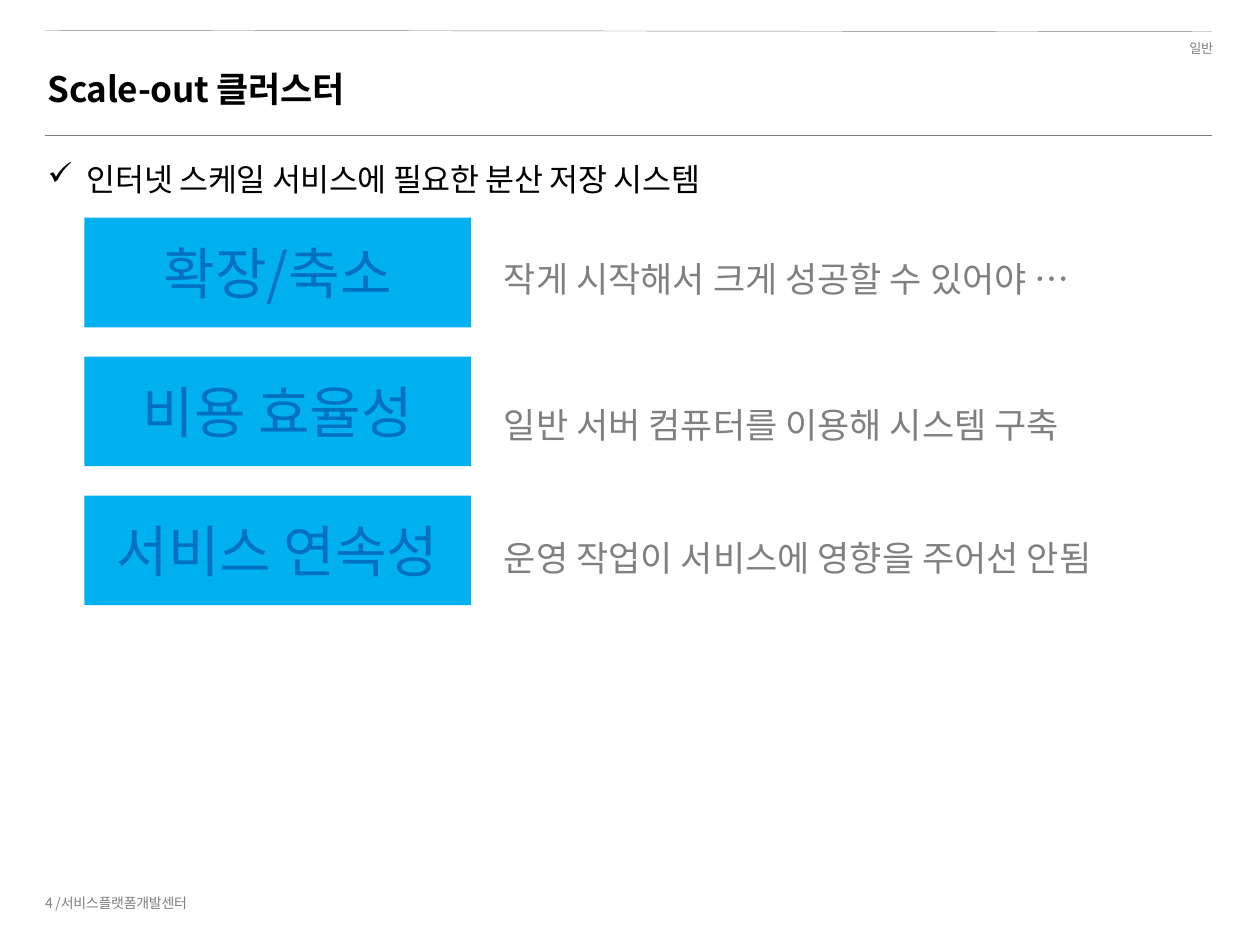
from lxml.etree import SubElement
from pptx import Presentation
from pptx.dml.color import RGBColor
from pptx.enum.shapes import MSO_CONNECTOR as Connector, MSO_SHAPE as Shape
from pptx.enum.text import MSO_ANCHOR as Anchor, MSO_AUTO_SIZE as AutoSize, PP_ALIGN as Align
from pptx.oxml.ns import qn
from pptx.util import Cm, Pt

FONT = "Noto Sans CJK KR"
COLORS = {"black": "000000", "gray": "808080", "sky": "00B0F0", "blue": "0070C0"}

TITLE = "Scale-out 클러스터"
LEAD = "인터넷 스케일 서비스에 필요한 분산 저장 시스템"
CATEGORY = "일반"
FOOTER = "4 /서비스플랫폼개발센터"
# goal, caption, top of the caption in cm
GOALS = [
    ("확장/축소", "작게 시작해서 크게 성공할 수 있어야 …", 4.65),
    ("비용 효율성", "일반 서버 컴퓨터를 이용해 시스템 구축", 7.59),
    ("서비스 연속성", "운영 작업이 서비스에 영향을 주어선 안됨", 10.26),
]
RULES = [(0.61, 0.64), (2.72, 2.72)]  # start and end height in cm
RULE_LEFT, RULE_RIGHT = 0.91, 24.43
GOAL_LEFT, GOAL_TOP, GOAL_WIDTH, GOAL_HEIGHT, GOAL_STEP = 1.7, 4.39, 7.8, 2.21, 2.8


def color(name):
    """Return the named colour."""
    return RGBColor.from_string(COLORS[name])


def write(shape, text, size, tint="gray", bold=False, align=Align.LEFT,
          anchor=Anchor.TOP, leading=None, tight=False, grow=False, bullet=None):
    """Put formatted text in a shape and return its paragraph."""
    frame = shape.text_frame
    frame.word_wrap = True
    frame.vertical_anchor = anchor
    frame.auto_size = AutoSize.SHAPE_TO_FIT_TEXT if grow else AutoSize.NONE
    para = frame.paragraphs[0]
    para.alignment = align
    if leading:
        para.line_spacing = leading
    span = para.add_run()
    span.text = text
    font = span.font
    font.size, font.bold, font.name = Pt(size), bold, FONT
    font.color.rgb = color(tint)
    props = span._r.get_or_add_rPr()
    SubElement(props, qn("a:ea")).set("typeface", FONT)
    if tight:
        props.set("spc", "-20")
    if bullet:
        para.space_before = Pt(0.1)
        layout = para._p.get_or_add_pPr()
        layout.set("marL", str(Cm(0.79)))
        layout.set("indent", str(Cm(-0.79)))
        SubElement(layout, qn("a:buChar")).set("char", bullet)
    return para


def add_text(page, place, text, size, **style):
    """Add a text box at a place given in cm."""
    box = page.shapes.add_textbox(*map(Cm, place))
    write(box, text, size, **style)


def add_rule(page, start, end):
    """Add a thin line across the page."""
    rule = page.shapes.add_connector(
        Connector.STRAIGHT, Cm(RULE_LEFT), Cm(start), Cm(RULE_RIGHT), Cm(end))
    rule.line.color.rgb = color("gray")
    rule.line.width = Pt(0.25)
    SubElement(rule._element.spPr, qn("a:effectLst"))


def add_goal(page, top, text):
    """Add one filled goal box."""
    box = page.shapes.add_shape(
        Shape.RECTANGLE, Cm(GOAL_LEFT), Cm(top), Cm(GOAL_WIDTH), Cm(GOAL_HEIGHT))
    box.shadow.inherit = False
    box.fill.solid()
    box.fill.fore_color.rgb = color("sky")
    box.line.fill.background()
    write(box, text, 32, tint="blue", align=Align.CENTER, anchor=Anchor.MIDDLE)


deck = Presentation()
deck.slide_width, deck.slide_height = Cm(25.4), Cm(19.05)
page = deck.slides.add_slide(deck.slide_layouts[6])

for start, end in RULES:
    add_rule(page, start, end)
add_text(page, (22.12, 0.56, 2.59, 0.69), CATEGORY, 7.5,
         align=Align.RIGHT, leading=1.4, tight=True, grow=True)
add_text(page, (0.66, 17.86, 7.72, 0.69), FOOTER, 8, anchor=Anchor.MIDDLE, tight=True)
add_text(page, (0.71, 1.22, 24, 1.12), TITLE, 20, tint="black", bold=True,
         anchor=Anchor.MIDDLE, tight=True)
add_text(page, (0.71, 2.72, 24, 12.57), LEAD, 18, tint="black",
         leading=1.5, tight=True, bullet="✓")
for row, (goal, caption, caption_top) in enumerate(GOALS):
    add_goal(page, GOAL_TOP + row * GOAL_STEP, goal)
    add_text(page, (9.91, caption_top, 13.89, 1.55), caption, 20, leading=1.5, grow=True)

deck.save("out.pptx")
